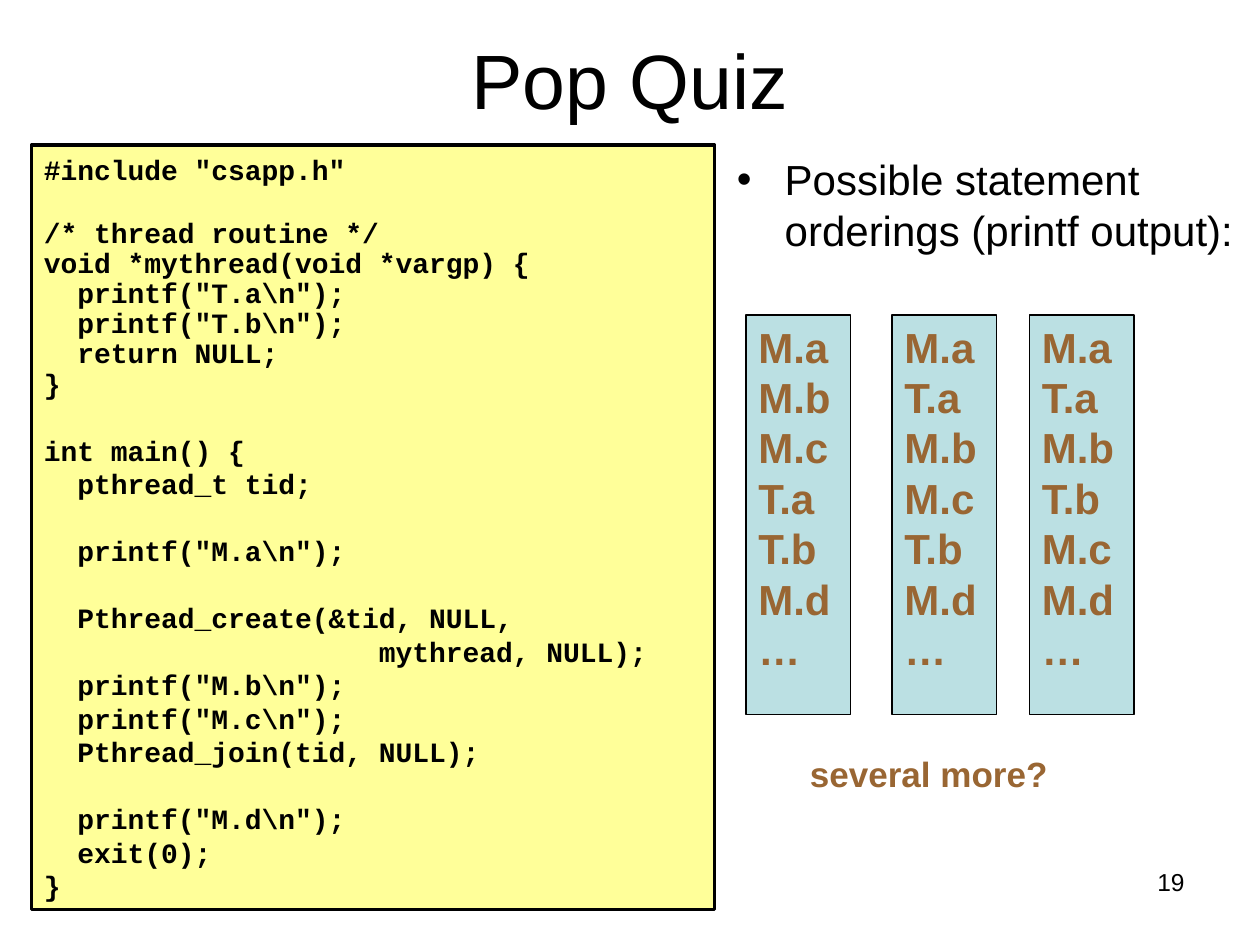
from lxml.etree import SubElement
from pptx import Presentation
from pptx.dml.color import RGBColor
from pptx.enum.shapes import MSO_SHAPE
from pptx.enum.text import MSO_ANCHOR, MSO_AUTO_SIZE, PP_ALIGN
from pptx.oxml.ns import qn
from pptx.util import Inches, Pt

COLORS = {"black": "000000", "code": "FFFF99", "ordering": "BBE0E3", "answer": "996633"}

# Each block: line spacing, then its lines; a blank line precedes every block but the first.
CODE_BLOCKS = [
    (1.0, ['#include "csapp.h"']),
    (0.9, ["/* thread routine */",
           "void *mythread(void *vargp) {",
           '  printf("T.a\\n");',
           '  printf("T.b\\n");',
           "  return NULL;",
           "}"]),
    (1.0, ["int main() {",
           "  pthread_t tid;"]),
    (1.0, ['  printf("M.a\\n");']),
    (1.0, ["  Pthread_create(&tid, NULL,",
           "                    mythread, NULL);",
           '  printf("M.b\\n");',
           '  printf("M.c\\n");',
           "  Pthread_join(tid, NULL);"]),
    (1.0, ['  printf("M.d\\n");',
           "  exit(0);",
           "}"]),
]
BLANK_LINE = Pt(19)

ORDERINGS = [
    (5.92, "M.a M.b M.c T.a T.b M.d …"),
    (7.08, "M.a T.a M.b M.c T.b M.d …"),
    (8.17, "M.a T.a M.b T.b M.c M.d …"),
]


def rgb(name):
    return RGBColor.from_string(COLORS[name])


def style_text(frame, size, color="black", font="Arial", bold=False, align=PP_ALIGN.LEFT):
    frame.word_wrap = True
    for paragraph in frame.paragraphs:
        paragraph.alignment = align
        for run in paragraph.runs:
            run.font.name = font
            run.font.size = Pt(size)
            run.font.bold = bold
            run.font.color.rgb = rgb(color)


def add_title(slide, text):
    title = slide.shapes.title
    title.left, title.top = Inches(0.5), Inches(0)
    title.width, title.height = Inches(9), Inches(1.25)
    title.text_frame.text = text
    title.text_frame.vertical_anchor = MSO_ANCHOR.MIDDLE
    style_text(title.text_frame, 44, align=PP_ALIGN.CENTER)


def add_label(slide, box, text, size, **style):
    label = slide.shapes.add_textbox(*map(Inches, box))
    label.text_frame.text = text
    style_text(label.text_frame, size, **style)
    return label


def add_bullet(slide, box, text, size):
    label = add_label(slide, box, text, size)
    props = label.text_frame.paragraphs[0]._p.get_or_add_pPr()
    props.set("marL", str(Inches(0.38)))
    props.set("indent", str(-Inches(0.38)))
    SubElement(props, qn("a:buFont")).set("typeface", "Arial")
    SubElement(props, qn("a:buChar")).set("char", "•")


def add_panel(slide, box, fill, line_width):
    panel = slide.shapes.add_shape(MSO_SHAPE.RECTANGLE, *map(Inches, box))
    panel.shadow.inherit = False
    panel.fill.solid()
    panel.fill.fore_color.rgb = rgb(fill)
    panel.line.color.rgb = rgb("black")
    panel.line.width = Pt(line_width)
    return panel


def add_code(slide, box):
    frame = add_panel(slide, box, "code", 2).text_frame
    frame.text = "\n".join(line for _, lines in CODE_BLOCKS for line in lines)
    frame.vertical_anchor = MSO_ANCHOR.MIDDLE
    frame.auto_size = MSO_AUTO_SIZE.SHAPE_TO_FIT_TEXT
    style_text(frame, 16, font="Courier New", bold=True)
    paragraphs = iter(frame.paragraphs)
    for block, (spacing, lines) in enumerate(CODE_BLOCKS):
        for row, _ in enumerate(lines):
            paragraph = next(paragraphs)
            paragraph.line_spacing = spacing
            if block and row == 0:
                paragraph.space_before = BLANK_LINE


def add_ordering(slide, left, statements):
    frame = add_panel(slide, (left, 2.5, 0.83, 3.17), "ordering", 0.75).text_frame
    frame.text = "\n".join(statements.split())
    frame.vertical_anchor = MSO_ANCHOR.TOP
    style_text(frame, 24, color="answer", bold=True)


def main():
    deck = Presentation()
    deck.slide_width, deck.slide_height = Inches(10), Inches(7.5)
    slide = deck.slides.add_slide(deck.slide_layouts[5])
    add_title(slide, "Pop Quiz")
    add_bullet(slide, (5.75, 1.17, 4.17, 4.95),
               "Possible statement orderings (printf output):", 24)
    add_label(slide, (7.17, 6.83, 2.33, 0.52), "19", 14, align=PP_ALIGN.RIGHT)
    add_code(slide, (0.25, 1.15, 5.42, 6.07))
    for left, statements in ORDERINGS:
        add_ordering(slide, left, statements)
    add_label(slide, (6.33, 5.92, 2.75, 0.44), "several more?", 20,
              color="answer", bold=True)
    deck.save("out.pptx")


if __name__ == "__main__":
    main()
